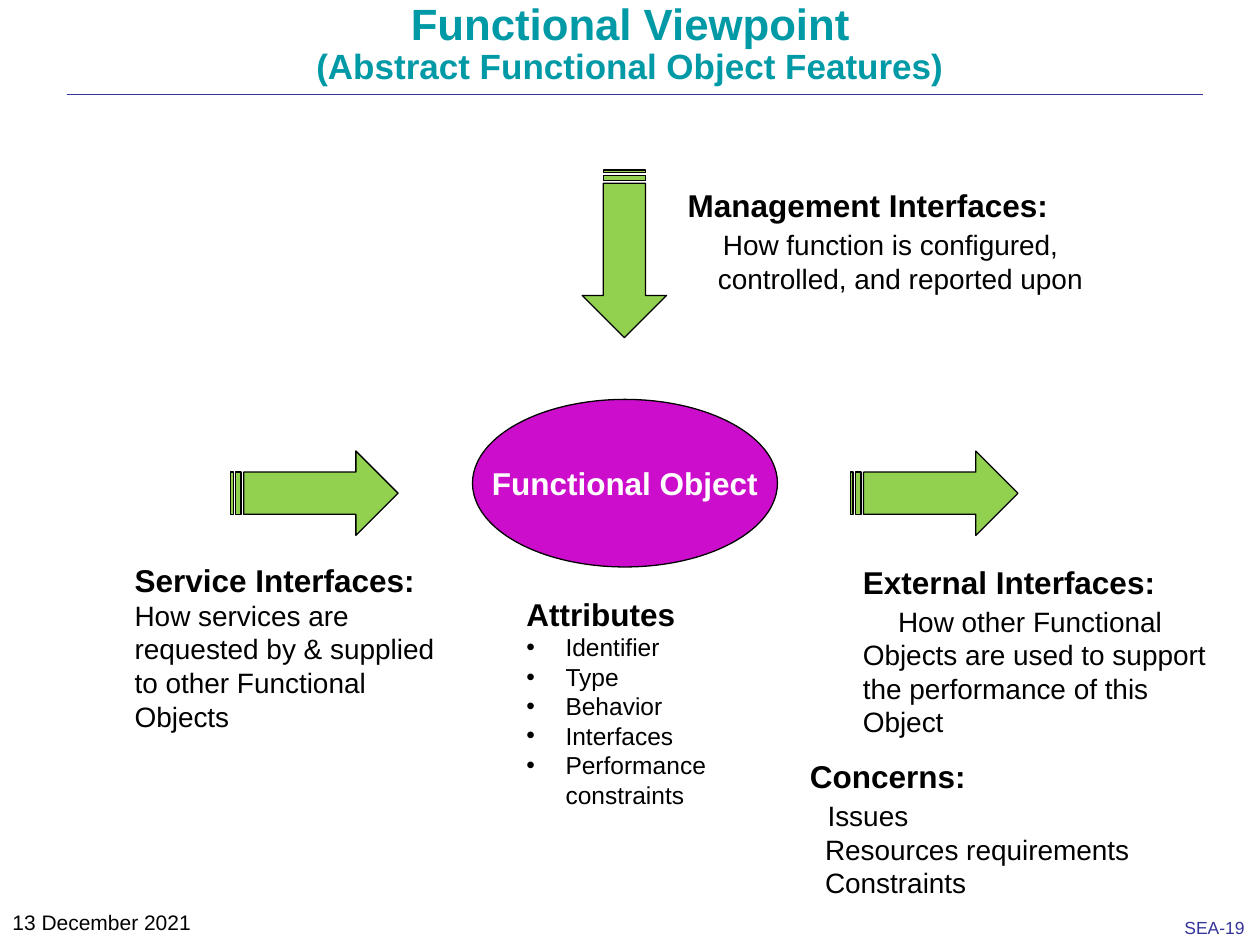
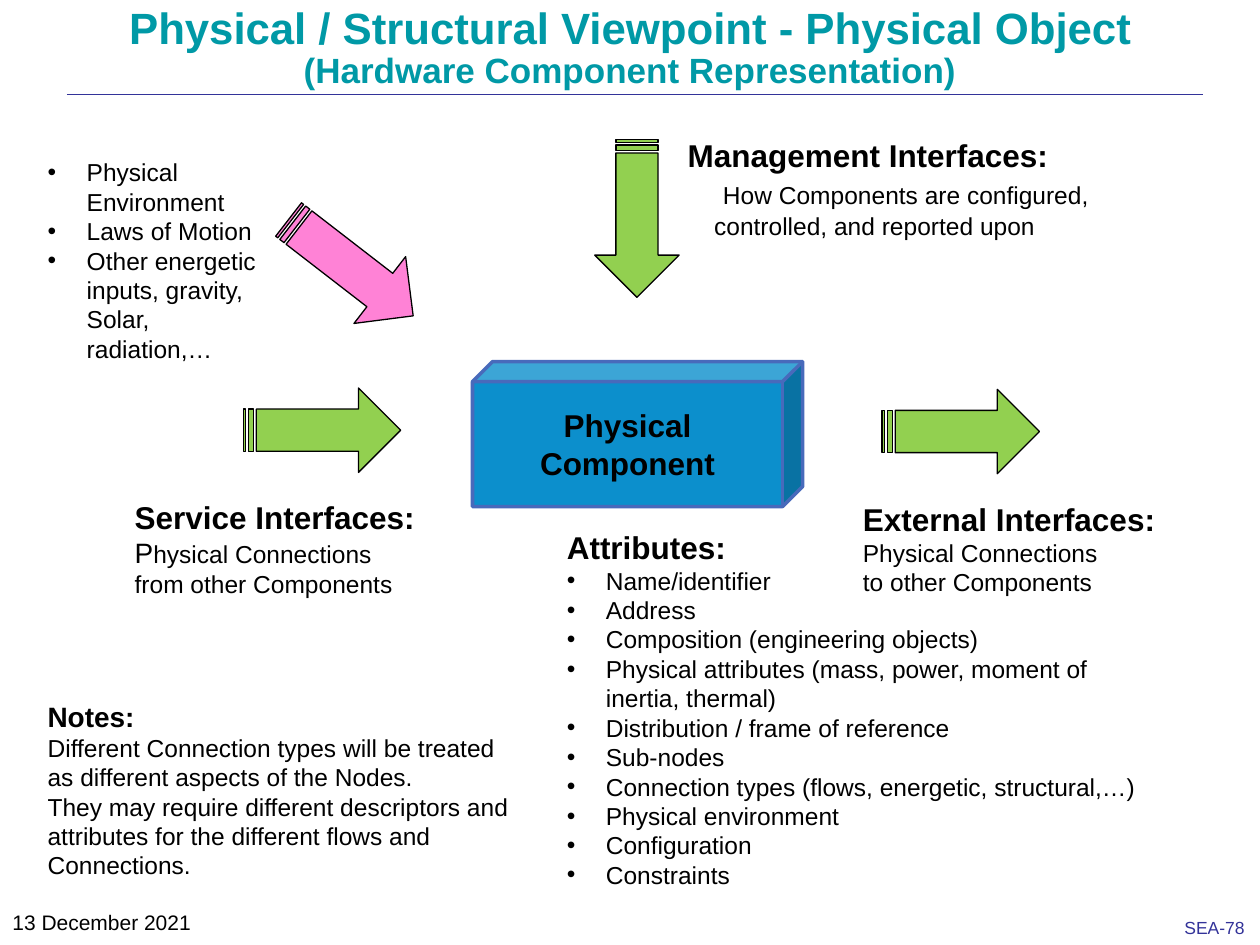
from lxml.etree import SubElement
from pptx import Presentation
from pptx.dml.color import RGBColor
from pptx.enum.shapes import MSO_CONNECTOR as Connector, MSO_SHAPE as Shape
from pptx.enum.text import MSO_ANCHOR as Anchor, PP_ALIGN as Align
from pptx.oxml.ns import qn
from pptx.util import Inches, Pt

# Shared style; places are (left, top, width, height) on a 10 x 7.5 grid
COLUMNS, ROWS = 10, 7.5
WIDTH, HEIGHT = Inches(10), Inches(7.5)
FONT = "Arial"
COLORS = {"title": "0099A6", "navy": "333399", "black": "000000", "white": "FFFFFF",
          "green": "92D050", "pink": "FF82D6", "violet": "CC0ECC",
          "blue": "0C8FCC", "edge": "486ABB"}
DATE = "13 December 2021"
HEADING, ARROW_DEPTH = 18, 0.67
BULLET_INDENT, LEAD_INDENT = 0.31, 0.28


def bullets(*texts):
    return [dict(text=text, bullet=True) for text in texts]


def lead(text, size):
    """A first line set in under its heading, as tall as a heading line."""
    taller = HEADING - size
    return dict(text=text, first=LEAD_INDENT, before=0.9 * taller, after=0.2 * taller)


# Content
SLIDES = [
    dict(
        title=("Functional Viewpoint", "(Abstract Functional Object Features)"),
        title_at=(1.29, -0.03, 7.42, 0.48),
        number="SEA-19",
        centre=dict(kind=Shape.OVAL, at=(3.75, 3.17, 2.42, 1.33), text="Functional Object",
                    fill="violet", edge="black", weight=0.75, color="white", wrap=False),
        arrow_length=1.33,
        arrows=[(4.29, 1.68, 90, "green"), (1.83, 3.58, 0, "green"), (6.75, 3.58, 0, "green")],
        blocks=[
            dict(at=(5.36, 1.43, 4.07, 1.01), heading="Management Interfaces:", size=16, lines=[
                lead("How function is configured,", 16),
                dict(text="controlled, and reported upon", first=0.24)]),
            dict(at=(0.97, 4.4, 2.78, 1.48), heading="Service Interfaces:", size=16, lines=[
                dict(text="How services are"),
                dict(text="requested by & supplied"),
                dict(text="to other Functional Objects")]),
            dict(at=(4.08, 4.67, 2.42, 1.82), heading="Attributes", size=14, lines=bullets(
                "Identifier", "Type", "Behavior", "Interfaces", "Performance constraints")),
            dict(at=(6.75, 4.42, 3.13, 2.69), heading="External Interfaces:", size=16, lines=[
                lead("How other Functional Objects are used to support "
                     "the performance of this Object", 16)]),
            dict(at=(6.33, 5.96, 3.3, 1.31), heading="Concerns:", size=16, lines=[
                dict(lead("Issues", 16), first=0.14),
                dict(text="Resources requirements", first=0.12),
                dict(text="Constraints", first=0.12)]),
        ],
    ),
    dict(
        title=("Physical / Structural Viewpoint - Physical Object",
               "(Hardware Component Representation)"),
        title_at=(0.5, 0, 9, 0.79),
        number="SEA-78",
        centre=dict(kind=Shape.CUBE, at=(3.75, 2.87, 2.62, 1.15), text="Physical Component",
                    fill="blue", edge="edge", weight=2, color="black", adjust=0.138),
        arrow_length=1.25,
        arrows=[(4.43, 1.4, 90, "green"), (1.93, 3.08, 0, "green"),
                (7, 3.09, 0, "green"), (2.16, 1.79, 37.7, "pink")],
        blocks=[
            dict(at=(0.28, 1.2, 2.05, 1.51), size=14, lines=bullets(
                "Physical Environment", "Laws of Motion",
                "Other energetic inputs, gravity, Solar, radiation,…")),
            dict(at=(5.36, 1.03, 4.07, 0.94), heading="Management Interfaces:", size=14, lines=[
                lead("How Components are configured,", 14),
                dict(text="controlled, and reported upon", first=0.21)]),
            dict(at=(0.97, 3.9, 2.78, 0.91), heading="Service Interfaces:", size=14, lines=[
                dict(text="Physical Connections", initial=16),
                dict(text="from other Components")]),
            dict(at=(6.75, 3.92, 3.13, 0.88), heading="External Interfaces:", size=14, lines=[
                dict(text="Physical Connections"),
                dict(text="to other Components")]),
            dict(at=(4.4, 4.14, 4.91, 3), heading="Attributes:", size=14, lines=bullets(
                "Name/identifier", "Address", "Composition (engineering objects)",
                "Physical attributes (mass, power, moment of inertia, thermal)",
                "Distribution / frame of reference", "Sub-nodes",
                "Connection types (flows, energetic, structural,…)",
                "Physical environment", "Configuration", "Constraints")),
            dict(at=(0.28, 5.5, 3.9, 1.55), heading="Notes:", heading_size=16, size=14, lines=[
                dict(text="Different Connection types will be treated "
                          "as different aspects of the Nodes."),
                dict(text="They may require different descriptors and attributes "
                          "for the different flows and Connections.")]),
        ],
    ),
]


def rgb(name):
    return RGBColor.from_string(COLORS[name])


def place(left, top, width, height):
    """Turn grid columns and rows into slide lengths."""
    return (round(left / COLUMNS * WIDTH), round(top / ROWS * HEIGHT),
            round(width / COLUMNS * WIDTH), round(height / ROWS * HEIGHT))


def write(frame, text, size=14, color="black", bold=False, align=Align.LEFT, spacing=None,
          first=0, before=0, after=0, bullet=False, initial=None):
    """Add one paragraph; initial is the size of a larger first letter."""
    para = frame.paragraphs[0]
    if para.runs:
        para = frame.add_paragraph()
    para.alignment = align
    if spacing:
        para.line_spacing = spacing
    if before or after:
        para.space_before, para.space_after = Pt(before), Pt(after)
    props = para._p.get_or_add_pPr()
    if bullet:
        props.set("marL", str(Inches(BULLET_INDENT)))
        first = -BULLET_INDENT
        SubElement(props, qn("a:buFont"), typeface=FONT)
        SubElement(props, qn("a:buChar"), char="•")
    props.set("indent", str(Inches(first)))
    pieces = [(text[0], initial), (text[1:], size)] if initial else [(text, size)]
    for piece, points in pieces:
        span = para.add_run()
        span.text = piece
        span.font.name, span.font.size, span.font.bold = FONT, Pt(points), bold
        span.font.color.rgb = rgb(color)


def add_box(page, at, wrap=True):
    frame = page.shapes.add_textbox(*place(*at)).text_frame
    frame.word_wrap = wrap
    return frame


def add_figure(page, kind, at, fill, edge="black", weight=0.75):
    figure = page.shapes.add_shape(kind, *place(*at))
    figure.shadow.inherit = False
    figure.fill.solid()
    figure.fill.fore_color.rgb = rgb(fill)
    figure.line.color.rgb = rgb(edge)
    figure.line.width = Pt(weight)
    return figure


def add_frame(page, content):
    """Title, rule, date and page number."""
    left, top, right, bottom = place(0.53, 0.75, 9.55, 0.75)
    rule = page.shapes.add_connector(Connector.STRAIGHT, left, top, right, bottom)
    rule.line.color.rgb = rgb("navy")
    rule.line.width = Pt(0.13)
    SubElement(rule._element.spPr, qn("a:effectLst"))

    number = add_box(page, (9.31, 7.24, 0.68, 0.26), wrap=False)
    number.margin_left = number.margin_right = Inches(0.09)
    number.margin_top = number.margin_bottom = Inches(0.04)
    write(number, content["number"], size=10, color="navy")
    write(add_box(page, (0, 7.17, 2.08, 0.5)), DATE, size=12)

    title = add_box(page, content["title_at"])
    for text, size in zip(content["title"], (25, 20)):
        write(title, text, size=size, color="title", bold=True, align=Align.CENTER, spacing=0.9)


def add_centre(page, kind, at, text, fill, edge, weight, color, wrap=True, adjust=None):
    figure = add_figure(page, kind, at, fill, edge, weight)
    if adjust is not None:
        figure.adjustments[0] = adjust
    frame = figure.text_frame
    frame.word_wrap, frame.vertical_anchor = wrap, Anchor.MIDDLE
    write(frame, text, size=HEADING, color=color, bold=True, align=Align.CENTER)


def add_block(page, at, size, lines, heading=None, heading_size=HEADING):
    frame = add_box(page, at)
    if heading:
        write(frame, heading, size=heading_size, bold=True)
    for line in lines:
        write(frame, size=size, **line)


def main():
    deck = Presentation()
    deck.slide_width, deck.slide_height = WIDTH, HEIGHT
    for content in SLIDES:
        page = deck.slides.add_slide(deck.slide_layouts[6])
        add_frame(page, content)
        add_centre(page, **content["centre"])
        for left, top, turn, fill in content["arrows"]:
            at = (left, top, content["arrow_length"], ARROW_DEPTH)
            add_figure(page, Shape.STRIPED_RIGHT_ARROW, at, fill).rotation = turn
        for block in content["blocks"]:
            add_block(page, **block)
    deck.save("out.pptx")


if __name__ == "__main__":
    main()
